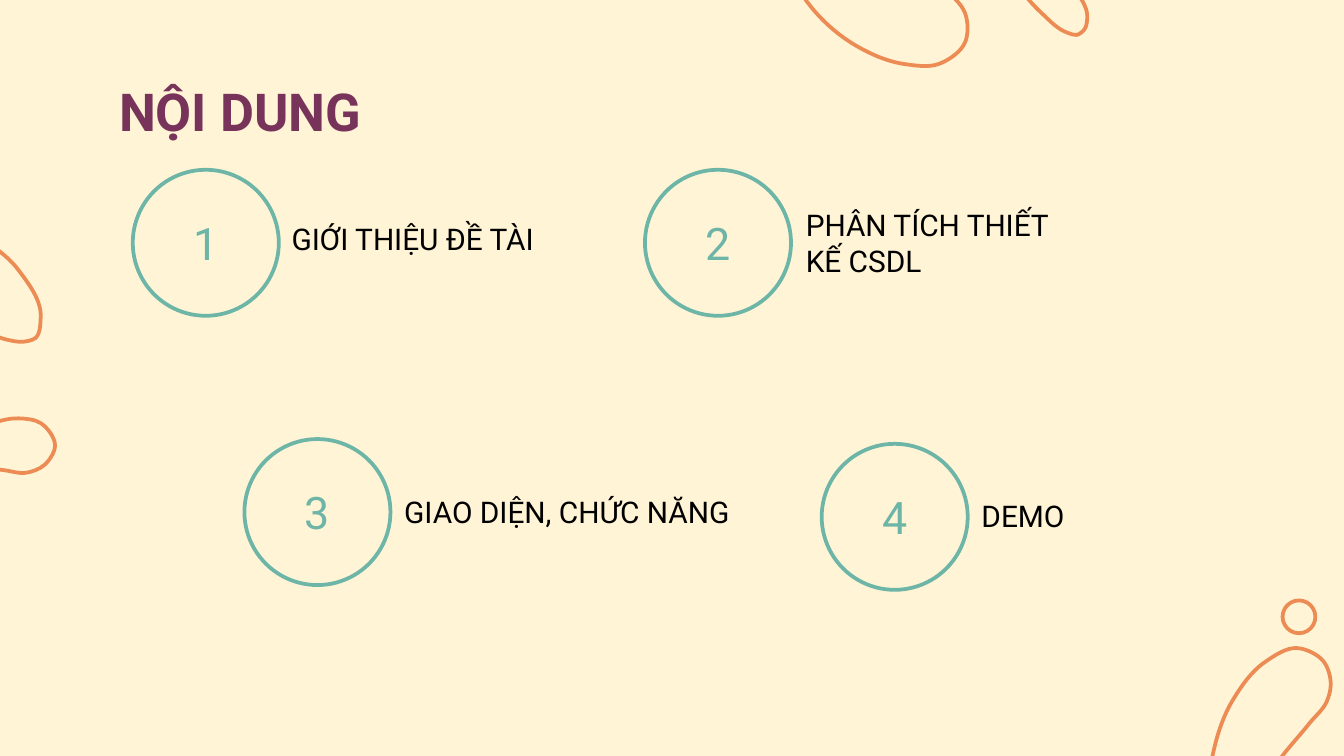
from math import dist

from lxml import etree
from pptx import Presentation
from pptx.dml.color import RGBColor
from pptx.enum.shapes import MSO_SHAPE
from pptx.enum.text import MSO_ANCHOR, MSO_AUTO_SIZE, PP_ALIGN
from pptx.oxml.ns import qn
from pptx.util import Cm, Pt

OVAL = MSO_SHAPE.OVAL
MIDDLE, TOP = MSO_ANCHOR.MIDDLE, MSO_ANCHOR.TOP
CENTER, LEFT = PP_ALIGN.CENTER, PP_ALIGN.LEFT
GROW = MSO_AUTO_SIZE.SHAPE_TO_FIT_TEXT

FONT = "Roboto"
CREAM, ORANGE, TEAL, PLUM, BLACK = "FFF4D5", "EC8B53", "6DB5A7", "77335A", "000000"
CIRCLE = 2.76

ITEMS = [
    (2.51, 3.21, (2.75, 0.83, 5.56, 0.94), "GIỚI THIỆU ĐỀ TÀI"),
    (12.19, 3.21, (2.79, 0.57, 5.56, 1.63), "PHÂN TÍCH THIẾT KẾ CSDL"),
    (4.62, 8.3, (2.77, 0.9, 6.91, 0.94), "GIAO DIỆN, CHỨC NĂNG"),
    (15.53, 8.39, (2.77, 0.9, 6.91, 0.94), "DEMO"),
]

BLOBS = [
    (-1.12, 7.94, [(1.89, 0.06), (1.48, -0.03), (0.82, 0.14), (0.31, 0.59), (0, 1.23),
                   (0.69, 0.9), (1.2, 0.95), (1.6, 1), (1.96, 0.85), (2.16, 0.49)]),
    (-1.26, 3.89, [(1.93, 2.5), (2.03, 2.1), (1.59, 1.19), (0.83, 0.52), (0.29, 0),
                   (0.03, 0.56), (0, 1.09), (0.54, 2), (1.43, 2.54), (1.7, 2.57)]),
    (19.08, -0.74, [(1.1, 1.36), (0.61, 0.99), (0.25, 0.59), (0, 0.16), (0.02, 0),
                    (0.48, 0.05), (1.18, 0.49), (1.47, 1.07), (1.42, 1.29), (1.27, 1.4)]),
    (14.74, -1.26, [(3.5, 2.06), (3, 2.47), (2.35, 2.47), (1.4, 2.1), (0.63, 1.44),
                    (0.13, 0.61), (0, 0.14), (0.04, 0), (0.26, 0.09), (1.23, 0.52),
                    (2.15, 0.74), (3.17, 1.11), (3.5, 1.51)]),
    (22.86, 12.24, [(2.16, 0.27), (2.29, 0.71), (2.22, 1.01), (1.89, 1.43),
                    (1.3, 2.15), (0.36, 3.9), (0.23, 4.16), (0.13, 4.05),
                    (0, 3.67), (0.01, 2.3), (0.43, 1.01), (1.04, 0.28), (1.65, 0.01)]),
]


def rgb(color):
    """Turn a hex string into a colour."""
    return RGBColor.from_string(color)


def outline(sp, color):
    """Leave a shape unfilled, with a plain coloured line."""
    sp.shadow.inherit = False
    sp.fill.background()
    sp.line.color.rgb = rgb(color)
    sp.line.width = Pt(2)


def write(sp, text, size, color, bold=False, align=LEFT, anchor=TOP):
    """Set the single paragraph of a shape."""
    tf = sp.text_frame
    tf.word_wrap = True
    tf.vertical_anchor = anchor
    p = tf.paragraphs[0]
    p.text = text
    p.alignment = align
    p.font.name, p.font.size, p.font.bold = FONT, Pt(size), bold
    p.font.color.rgb = rgb(color)


def smooth(points):
    """Return Bézier points of a closed curve through the given ones."""
    n = len(points)
    gaps = [dist(points[i], points[(i + 1) % n]) for i in range(n)]
    slopes = []
    for i in range(n):
        before, after = gaps[i - 1], gaps[i]
        slopes.append([
            ((b - a) / before * after + (c - b) / after * before) / (before + after)
            for a, b, c in zip(points[i - 1], points[i], points[(i + 1) % n])
        ])
    curve = [points[0]]
    for i, gap in enumerate(gaps):
        j = (i + 1) % n
        curve.append(tuple(a + m * gap / 3 for a, m in zip(points[i], slopes[i])))
        curve.append(tuple(b - m * gap / 3 for b, m in zip(points[j], slopes[j])))
        curve.append(points[j])
    return curve


def bend(sp):
    """Turn each three straight segments of a freeform into one Bézier curve."""
    lines = list(sp.element.iter(qn("a:lnTo")))
    for i in range(0, len(lines), 3):
        curve = etree.Element(qn("a:cubicBezTo"))
        lines[i].addprevious(curve)
        for line in lines[i:i + 3]:
            curve.append(line[0])
            line.getparent().remove(line)


def add_circle(s, left, top, size, color):
    """Draw an outlined circle."""
    sp = s.shapes.add_shape(OVAL, Cm(left), Cm(top), Cm(size), Cm(size))
    outline(sp, color)
    return sp


def add_blob(s, left, top, points):
    """Draw a smooth closed outline inside a box."""
    curve = [(Cm(left + x), Cm(top + y)) for x, y in smooth(points)]
    builder = s.shapes.build_freeform(*curve[0])
    builder.add_line_segments(curve[1:], close=True)
    sp = builder.convert_to_shape()
    bend(sp)
    outline(sp, ORANGE)


def add_title(s, left, top, width, height, text):
    """Write the slide heading."""
    sp = s.shapes.add_textbox(Cm(left), Cm(top), Cm(width), Cm(height))
    tf = sp.text_frame
    tf.margin_top = tf.margin_bottom = Cm(0.25)
    write(sp, text, 28, PLUM, bold=True)


def add_item(s, left, top, label_box, number, text):
    """Draw a numbered circle with its label to the right."""
    circle = add_circle(s, left, top, CIRCLE, TEAL)
    write(circle, str(number), 24, TEAL, align=CENTER, anchor=MIDDLE)
    x, y, width, height = label_box
    label = s.shapes.add_textbox(Cm(left + x), Cm(top + y), Cm(width), Cm(height))
    write(label, text, 16, BLACK)
    label.text_frame.auto_size = GROW


def main():
    """Build the contents slide."""
    prs = Presentation()
    prs.slide_width, prs.slide_height = Cm(25.4), Cm(14.29)
    s = prs.slides.add_slide(prs.slide_layouts[6])
    s.background.fill.solid()
    s.background.fill.fore_color.rgb = rgb(CREAM)
    for blob in BLOBS:
        add_blob(s, *blob)
    add_circle(s, 24.24, 11.35, 0.62, ORANGE)
    add_title(s, 2, 1.24, 21.41, 1.6, "NỘI DUNG")
    for number, (left, top, label_box, text) in enumerate(ITEMS, 1):
        add_item(s, left, top, label_box, number, text)
    prs.save("out.pptx")


if __name__ == "__main__":
    main()
